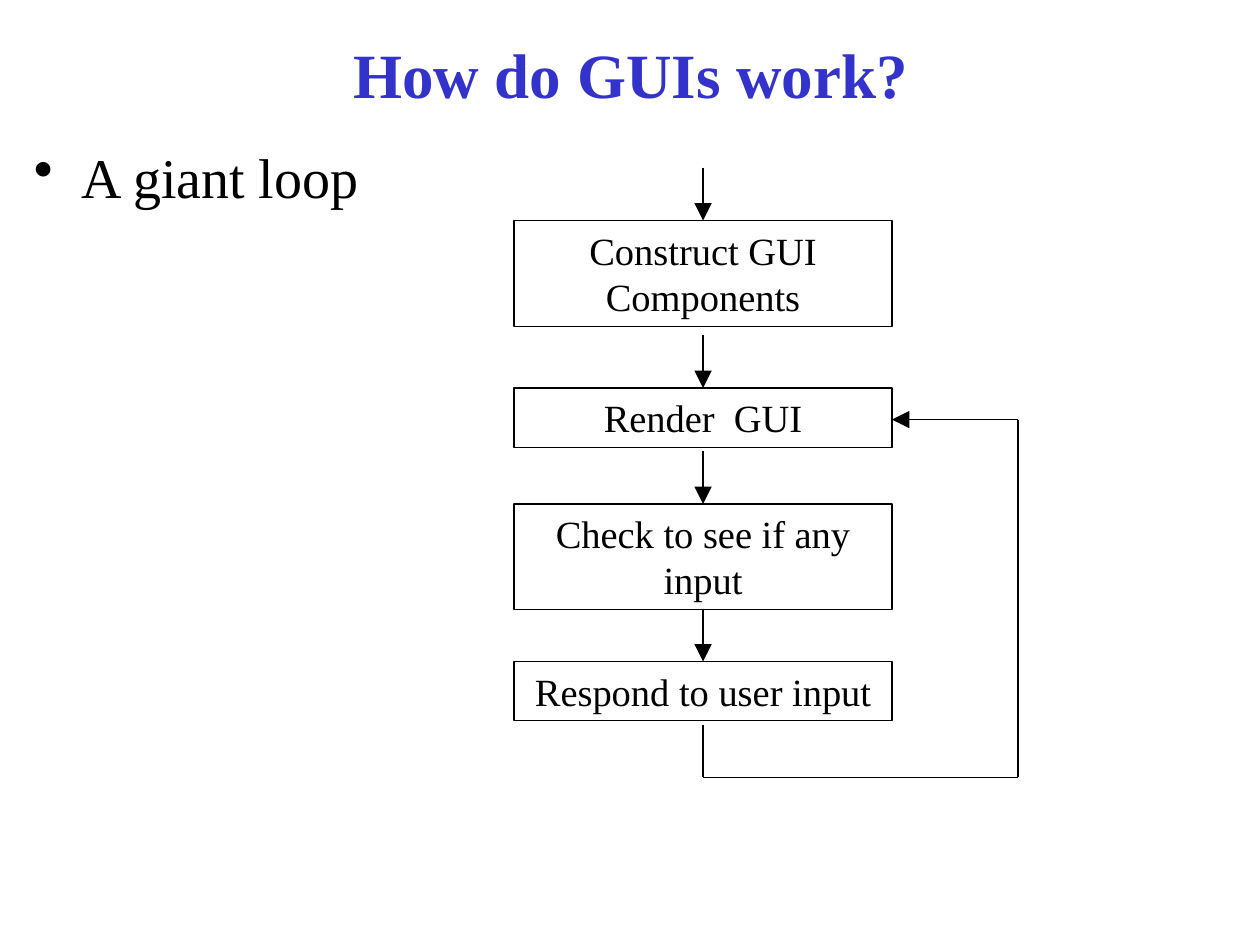
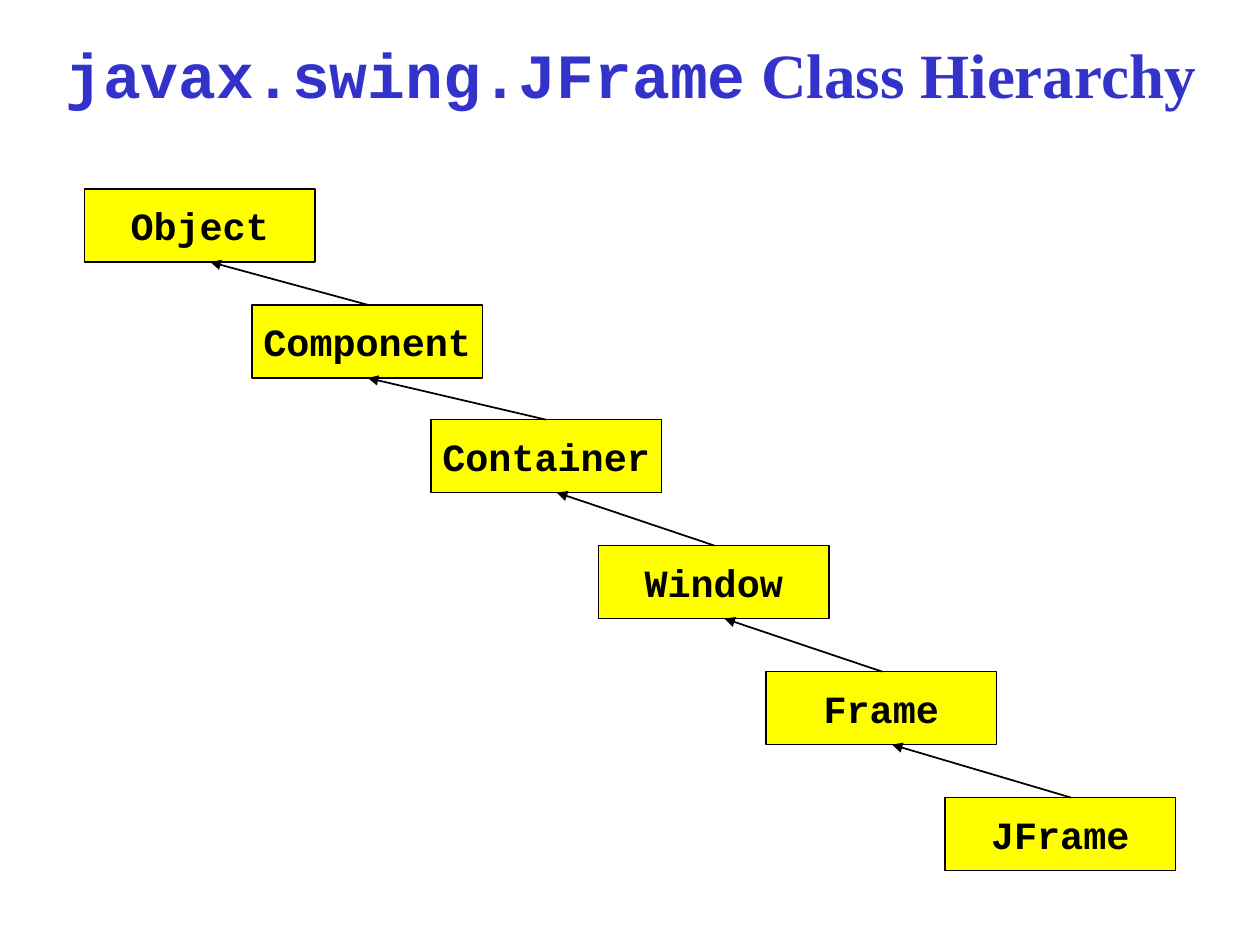
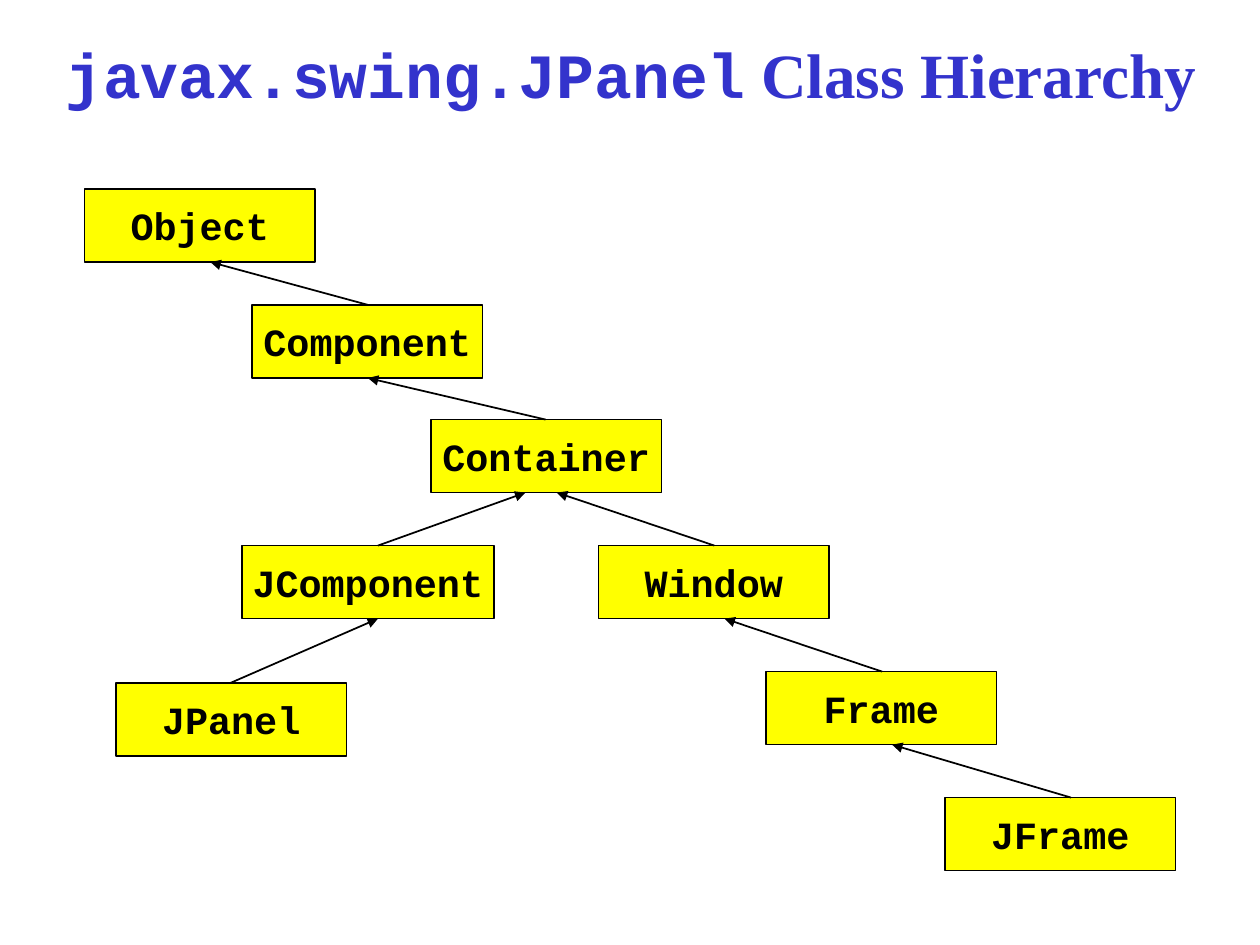
from lxml import etree
from pptx import Presentation
from pptx import util as u
from pptx.dml.color import RGBColor
from pptx.enum import shapes, text
from pptx.oxml.ns import qn

BLUE, BLACK, YELLOW = "3333CC", "000000", "FFFF00"
SERIF, MONO = "Times New Roman", "Courier New"

STEPS = [
    ("Construct GUI Components", 1.75, 0.84),
    ("Render  GUI", 3.08, 0.47),
    ("Check to see if any input", 4, 0.84),
    ("Respond to user input", 5.25, 0.47),
]
STEP_LEFT, STEP_WIDTH, STEP_GAP = 4.08, 3, 0.42
STEP_MID = STEP_LEFT + STEP_WIDTH / 2
LOOP = [(STEP_MID, 5.75), (STEP_MID, 6.17), (8.08, 6.17), (8.08, 3.33), (7.08, 3.33)]

NODE_WIDTH, NODE_HEIGHT = 1.83, 0.58
FRAMES = {
    "Object": (0.67, 1.5, NODE_WIDTH),
    "Component": (2, 2.42, NODE_WIDTH),
    "Container": (3.42, 3.33, NODE_WIDTH),
    "Window": (4.75, 4.33, NODE_WIDTH),
    "Frame": (6.08, 5.33, NODE_WIDTH),
    "JFrame": (7.5, 6.33, NODE_WIDTH),
}
FRAME_LINKS = [
    ("Component", 2.92, "Object", 1.67),
    ("Container", 4.33, "Component", 2.92),
    ("Window", 5.67, "Container", 4.42),
    ("Frame", 7, "Window", 5.75),
    ("JFrame", 8.5, "Frame", 7.08),
]
PANELS = {
    "JComponent": (1.92, 4.33, 2),
    "JPanel": (0.92, 5.42, NODE_WIDTH),
}
PANEL_LINKS = [
    ("JComponent", 3, "Container", 4.17),
    ("JPanel", 1.83, "JComponent", 3),
]


def color(code):
    return RGBColor.from_string(code)


def style(font, size, name, code, bold=False):
    font.size = u.Pt(size)
    font.name = name
    font.bold = bold
    font.color.rgb = color(code)


def place(left, top, width, height):
    return [u.Inches(n) for n in (left, top, width, height)]


def add_slide(deck, *parts):
    slide = deck.slides.add_slide(deck.slide_layouts[5])
    title = slide.shapes.title
    title.left, title.top, title.width, title.height = place(0.17, 0.25, 9.67, 0.67)
    frame = title.text_frame
    frame.auto_size = text.MSO_AUTO_SIZE.NONE
    frame.vertical_anchor = text.MSO_ANCHOR.MIDDLE
    para = frame.paragraphs[0]
    para.alignment = text.PP_ALIGN.CENTER
    for words, name in parts:
        run = para.add_run()
        run.text = words
        style(run.font, 36, name, BLUE, True)
    return slide


def add_bullet(slide, words):
    frame = slide.shapes.add_textbox(*place(0.17, 1.08, 9.67, 6.25)).text_frame
    frame.word_wrap = True
    para = frame.paragraphs[0]
    para.text = words
    para.space_before = u.Pt(8)
    style(para.font, 32, SERIF, BLACK)
    props = para._p.get_or_add_pPr()
    props.set("marL", str(u.Inches(0.38)))
    props.set("indent", str(-u.Inches(0.38)))
    mark = etree.Element(qn("a:buChar"), char="•")
    props.find(qn("a:spcBef")).addnext(mark)


def add_box(slide, words, spot, name, weight):
    box = slide.shapes.add_shape(shapes.MSO_SHAPE.RECTANGLE, *place(*spot))
    box.shadow.inherit = False
    box.line.color.rgb = color(BLACK)
    box.line.width = u.Pt(weight)
    para = box.text_frame.paragraphs[0]
    para.text = words
    para.alignment = text.PP_ALIGN.CENTER
    style(para.font, 22, name, BLACK, name == MONO)
    return box


def add_step(slide, words, top, height):
    box = add_box(slide, words, (STEP_LEFT, top, STEP_WIDTH, height), SERIF, 0.75)
    box.fill.background()
    frame = box.text_frame
    frame.word_wrap = True
    frame.auto_size = text.MSO_AUTO_SIZE.SHAPE_TO_FIT_TEXT
    frame.vertical_anchor = text.MSO_ANCHOR.TOP
    frame.paragraphs[0].space_before = u.Pt(5.5)


def add_node(slide, words, left, top, width):
    box = add_box(slide, words, (left, top, width, NODE_HEIGHT), MONO, 1)
    box.fill.solid()
    box.fill.fore_color.rgb = color(YELLOW)
    box.text_frame.word_wrap = False
    box.text_frame.vertical_anchor = text.MSO_ANCHOR.MIDDLE


def add_line(slide, start, end, weight, head=None):
    points = [u.Inches(n) for n in (*start, *end)]
    line = slide.shapes.add_connector(shapes.MSO_CONNECTOR.STRAIGHT, *points)
    line.line.color.rgb = color(BLACK)
    line.line.width = u.Pt(weight)
    if head:
        etree.SubElement(line.line._get_or_add_ln(), qn("a:tailEnd"),
                         type="triangle", w=head, len=head)
    etree.SubElement(line._element.spPr, qn("a:effectLst"))


def add_loop(slide):
    for words, top, height in STEPS:
        add_step(slide, words, top, height)
        add_line(slide, (STEP_MID, top - STEP_GAP), (STEP_MID, top), 0.75, "lg")
    for start, end in zip(LOOP, LOOP[1:]):
        add_line(slide, start, end, 0.75, "lg" if end == LOOP[-1] else None)


def add_tree(slide, nodes, links):
    for name, spot in nodes.items():
        add_node(slide, name, *spot)
    for child, start, parent, end in links:
        base = nodes[parent][1] + NODE_HEIGHT
        add_line(slide, (start, nodes[child][1]), (end, base), 1, "med")


def main():
    deck = Presentation()
    deck.slide_width, deck.slide_height = u.Inches(10), u.Inches(7.5)
    slide = add_slide(deck, ("How do GUIs work?", SERIF))
    add_bullet(slide, "A giant loop")
    add_loop(slide)
    for name, nodes, links in [
        ("JFrame", FRAMES, FRAME_LINKS),
        ("JPanel", FRAMES | PANELS, FRAME_LINKS + PANEL_LINKS),
    ]:
        slide = add_slide(deck, (f"javax.swing.{name}", MONO), (" Class Hierarchy", SERIF))
        add_tree(slide, nodes, links)
    deck.save("out.pptx")


if __name__ == "__main__":
    main()
